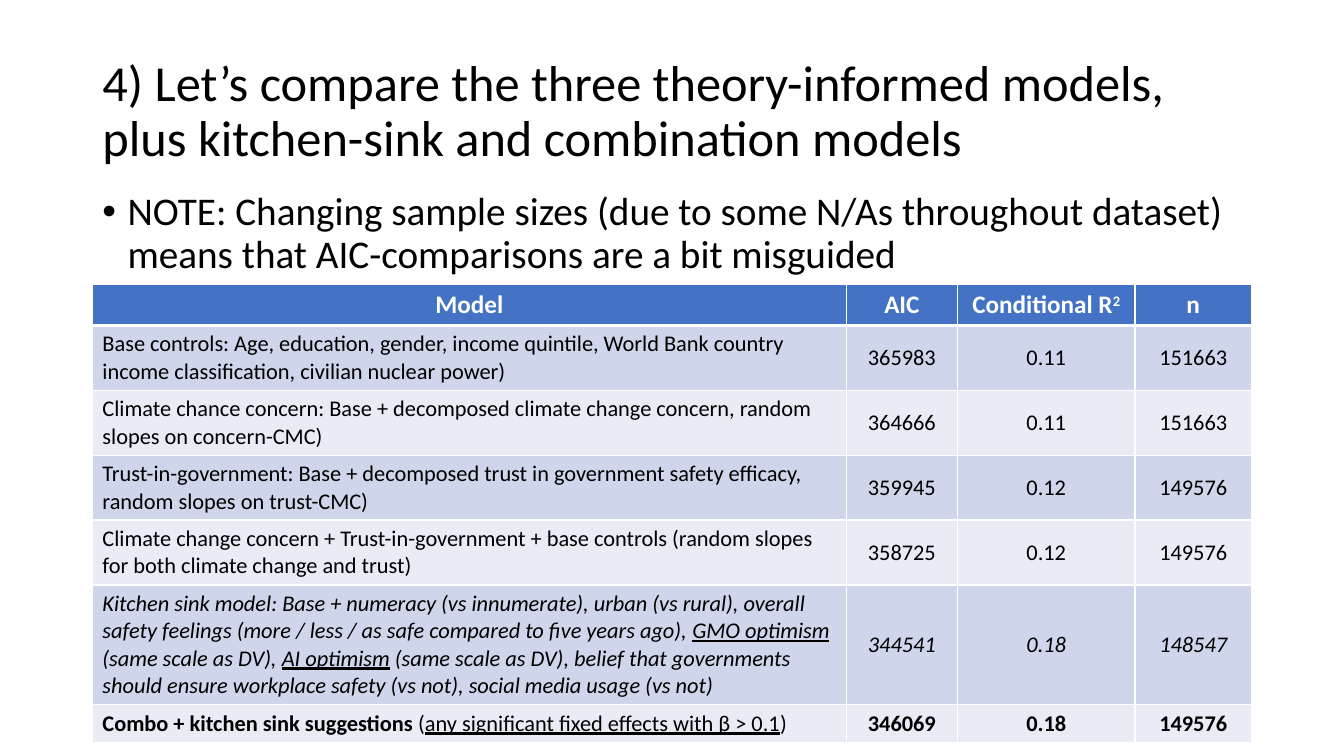
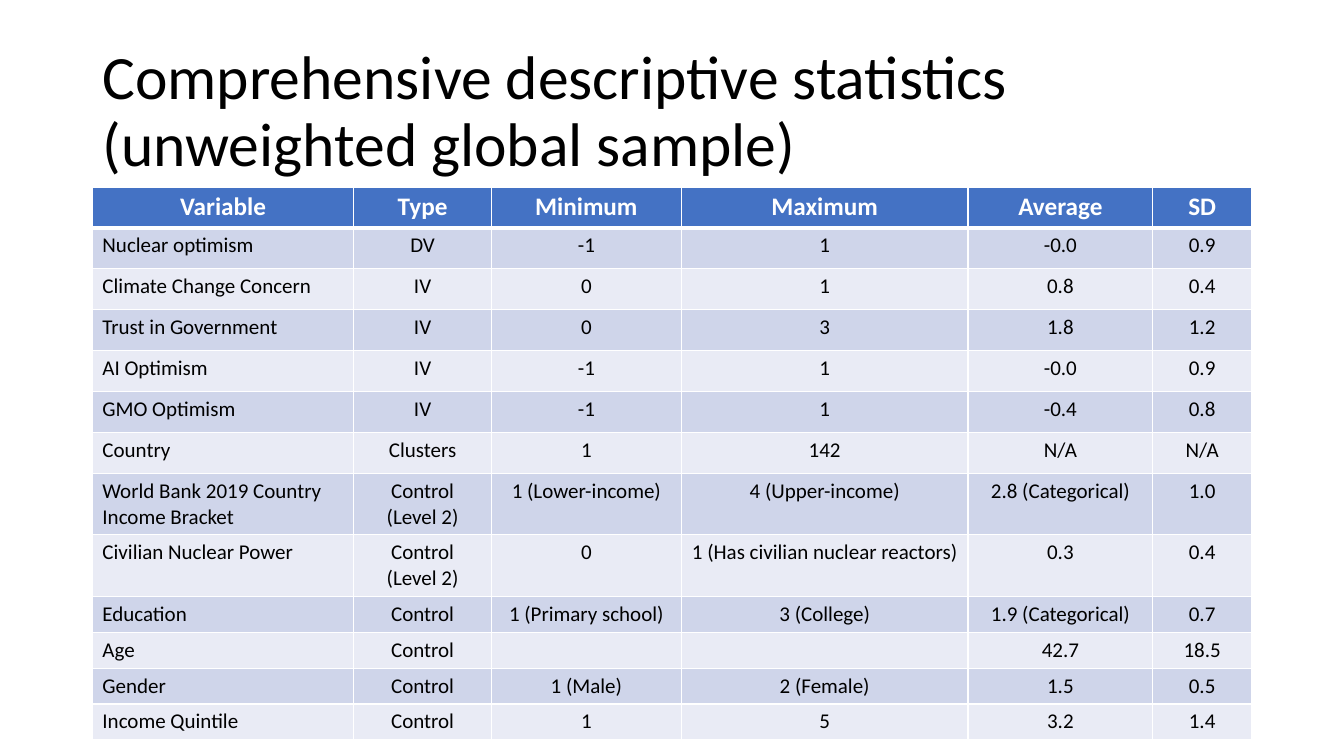
import lxml.etree
import pptx
import pptx.dml.color
import pptx.enum.text
import pptx.oxml.ns
import pptx.util

PX = 9525
FONT = "Calibri"
COLORS = {
    "text": "000000",
    "white": "FFFFFF",
    "header": "4472C4",
    "odd": "CFD5EA",
    "even": "E9EBF5",
}
LEFT, WIDTH = 88, 1104
TITLE_BOX = (LEFT, 38, WIDTH, 139)
NOTE_BOX = (LEFT, 178, WIDTH, 93)
HEADER_SIZE = 18

SLIDES = [
    {
        "layout": 1,
        "title": "4) Let’s compare the three theory-informed models, plus kitchen-sink and combination models",
        "title_size": 36,
        "note": "NOTE: Changing sample sizes (due to some N/As throughout dataset) means that AIC-comparisons are a bit misguided",
        "top": 271,
        "columns": [718, 106, 169, 111],
        "heights": [38] + [61] * 4 + [113, 35],
        "size": 16,
        "anchor": pptx.enum.text.MSO_ANCHOR.MIDDLE,
        "row_marks": {5: "i", 6: "b"},
        "rows": [
            ("Model", "AIC", [("Conditional R", ""), ("2", "s")], "n"),
            ("Base controls: Age, education, gender, income quintile, World Bank country income classification, civilian nuclear power)",
             "365983", "0.11", "151663"),
            ("Climate chance concern: Base + decomposed climate change concern, random slopes on concern-CMC)",
             "364666", "0.11", "151663"),
            ("Trust-in-government: Base + decomposed trust in government safety efficacy, random slopes on trust-CMC)",
             "359945", "0.12", "149576"),
            ("Climate change concern + Trust-in-government + base controls (random slopes for both climate change and trust)",
             "358725", "0.12", "149576"),
            ([("Kitchen sink model: Base + numeracy (vs innumerate), urban (vs rural), overall safety feelings (more / less / as safe compared to five years ago), ", ""),
              ("GMO optimism", "u"),
              (" (same scale as DV), ", ""),
              ("AI optimism", "u"),
              (" (same scale as DV), belief that governments should ensure workplace safety (vs not), social media usage (vs not)", "")],
             "344541", "0.18", "148547"),
            ([("Combo + kitchen sink suggestions ", ""),
              ("(", "r"),
              ("any significant fixed effects with β > 0.1", "ru"),
              (")", "r")],
             "346069", "0.18", "149576"),
        ],
    },
    {
        "layout": 5,
        "title": "Comprehensive descriptive statistics (unweighted global sample)",
        "title_size": 44,
        "note": None,
        "top": 178,
        "columns": [249, 131, 181, 273, 176, 94],
        "heights": [39] * 7 + [58] * 2 + [34] * 4,
        "size": 15,
        "anchor": pptx.enum.text.MSO_ANCHOR.TOP,
        "row_marks": {},
        "rows": [
            ("Variable", "Type", "Minimum", "Maximum", "Average", "SD"),
            ("Nuclear optimism", "DV", "-1", "1", "-0.0", "0.9"),
            ("Climate Change Concern", "IV", "0", "1", "0.8", "0.4"),
            ("Trust in Government", "IV", "0", "3", "1.8", "1.2"),
            ("AI Optimism", "IV", "-1", "1", "-0.0", "0.9"),
            ("GMO Optimism", "IV", "-1", "1", "-0.4", "0.8"),
            ("Country", "Clusters", "1", "142", "N/A", "N/A"),
            ("World Bank 2019 Country Income Bracket", "Control (Level 2)", "1 (Lower-income)",
             "4 (Upper-income)", "2.8 (Categorical)", "1.0"),
            ("Civilian Nuclear Power", "Control (Level 2)", "0",
             "1 (Has civilian nuclear reactors)", "0.3", "0.4"),
            ("Education", "Control", "1 (Primary school)", "3 (College)", "1.9 (Categorical)", "0.7"),
            ("Age", "Control", "", "", "42.7", "18.5"),
            ("Gender", "Control", "1 (Male)", "2 (Female)", "1.5", "0.5"),
            ("Income Quintile", "Control", "1", "5", "3.2", "1.4"),
        ],
    },
]


def px(length):
    return pptx.util.Emu(length * PX)


def rgb(name):
    return pptx.dml.color.RGBColor.from_string(COLORS[name])


def format_paragraph(paragraph, size, color="text", bold=False, italic=False):
    font = paragraph.font
    font.name = FONT
    font.size = pptx.util.Pt(size)
    font.color.rgb = rgb(color)
    font.bold = bold
    font.italic = italic


def fill_placeholder(shape, box, text, size, anchor, bulleted=False):
    shape.left, shape.top, shape.width, shape.height = map(px, box)
    frame = shape.text_frame
    frame.text = text
    frame.word_wrap = True
    frame.auto_size = pptx.enum.text.MSO_AUTO_SIZE.NONE
    frame.vertical_anchor = anchor
    paragraph = frame.paragraphs[0]
    paragraph.alignment = pptx.enum.text.PP_ALIGN.LEFT
    paragraph.line_spacing = 0.9
    paragraph.space_before = pptx.util.Pt(0)
    if bulleted:
        properties = paragraph._p.get_or_add_pPr()
        properties.set("marL", str(px(24)))
        properties.set("indent", str(px(-24)))
        bullet = lxml.etree.SubElement(properties, pptx.oxml.ns.qn("a:buChar"))
        bullet.set("char", "•")
    format_paragraph(paragraph, size)


def add_borders(cell, widths):
    properties = cell._tc.get_or_add_tcPr()
    for side, width in widths.items():
        line = lxml.etree.SubElement(properties, pptx.oxml.ns.qn("a:ln" + side))
        line.set("w", str(pptx.util.Pt(width)))
        fill = lxml.etree.SubElement(line, pptx.oxml.ns.qn("a:solidFill"))
        color = lxml.etree.SubElement(fill, pptx.oxml.ns.qn("a:srgbClr"))
        color.set("val", COLORS["white"])


def add_runs(paragraph, content):
    pieces = [(content, "")] if isinstance(content, str) else content
    for text, marks in pieces:
        if not text:
            continue
        run = paragraph.add_run()
        run.text = text
        if "u" in marks:
            run.font.underline = True
        if "r" in marks:
            run.font.bold = False
        if "s" in marks:
            run._r.get_or_add_rPr().set("baseline", "30000")


def fill_cell(cell, content, row, column, data):
    header = row == 0
    marks = "b" if header else data["row_marks"].get(row, "")
    top = 3 if row == 1 else 1
    add_borders(cell, {"L": 1, "R": 1, "T": top, "B": 3 if header else 1})
    cell.fill.solid()
    cell.fill.fore_color.rgb = rgb("header" if header else "odd" if row % 2 else "even")
    cell.vertical_anchor = pptx.enum.text.MSO_ANCHOR.TOP if header else data["anchor"]
    paragraph = cell.text_frame.paragraphs[0]
    centred = header or column > 0
    paragraph.alignment = pptx.enum.text.PP_ALIGN.CENTER if centred else pptx.enum.text.PP_ALIGN.LEFT
    add_runs(paragraph, content)
    format_paragraph(
        paragraph,
        HEADER_SIZE if header else data["size"],
        "white" if header else "text",
        bold="b" in marks,
        italic="i" in marks,
    )


def add_data_table(slide, data):
    rows, columns, heights = data["rows"], data["columns"], data["heights"]
    box = (LEFT, data["top"], sum(columns), sum(heights))
    table = slide.shapes.add_table(len(rows), len(columns), *map(px, box)).table
    for column, width in zip(table.columns, columns):
        column.width = px(width)
    for row, height in zip(table.rows, heights):
        row.height = px(height)
    for row_index, row in enumerate(rows):
        for column_index, content in enumerate(row):
            fill_cell(table.cell(row_index, column_index), content, row_index, column_index, data)


def main():
    presentation = pptx.Presentation()
    presentation.slide_width = px(1280)
    presentation.slide_height = px(720)
    for data in SLIDES:
        slide = presentation.slides.add_slide(presentation.slide_layouts[data["layout"]])
        fill_placeholder(slide.shapes.title, TITLE_BOX, data["title"], data["title_size"],
                         pptx.enum.text.MSO_ANCHOR.MIDDLE)
        if data["note"]:
            fill_placeholder(slide.placeholders[1], NOTE_BOX, data["note"], 28,
                             pptx.enum.text.MSO_ANCHOR.TOP, bulleted=True)
        add_data_table(slide, data)
    presentation.save("out.pptx")


if __name__ == "__main__":
    main()
